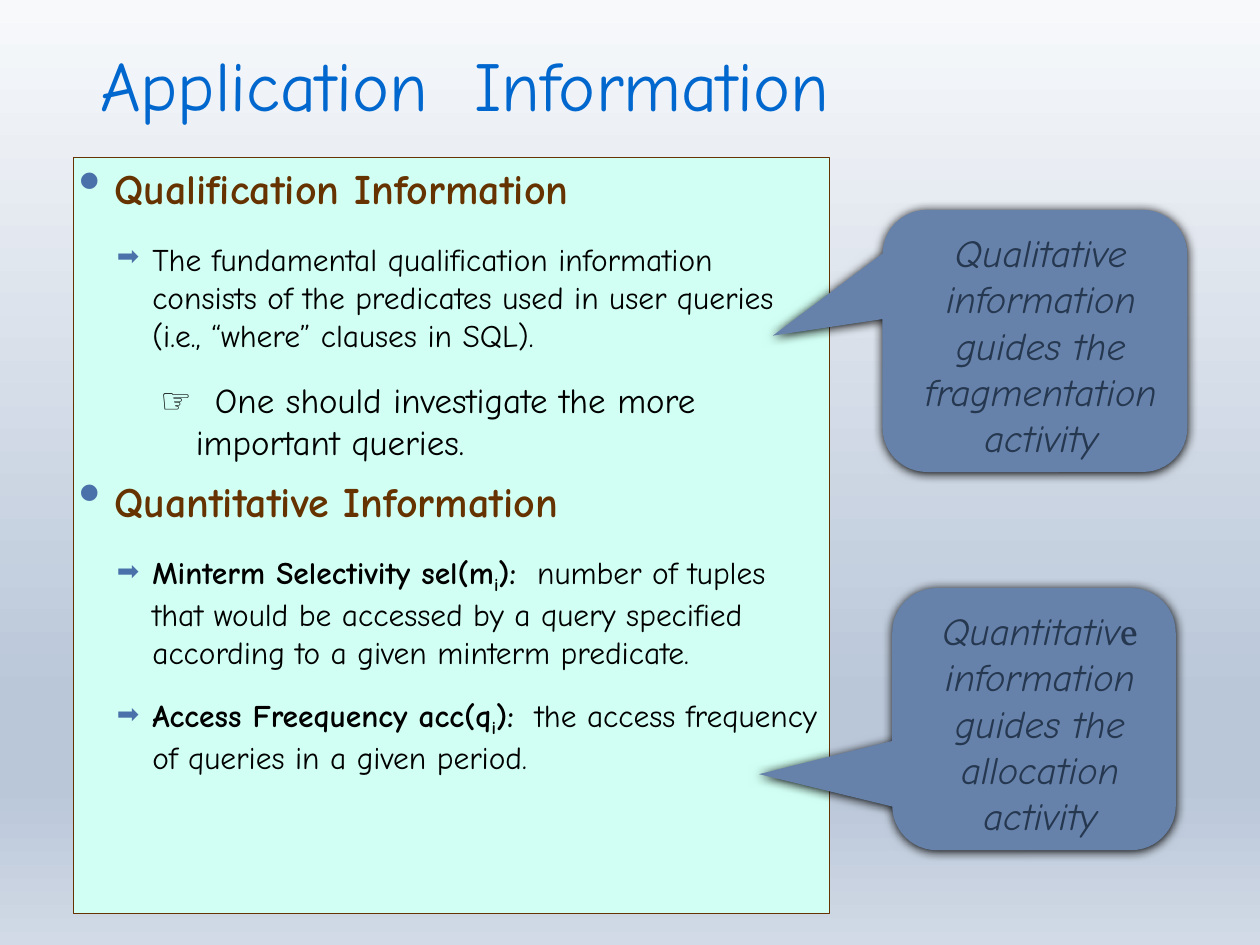
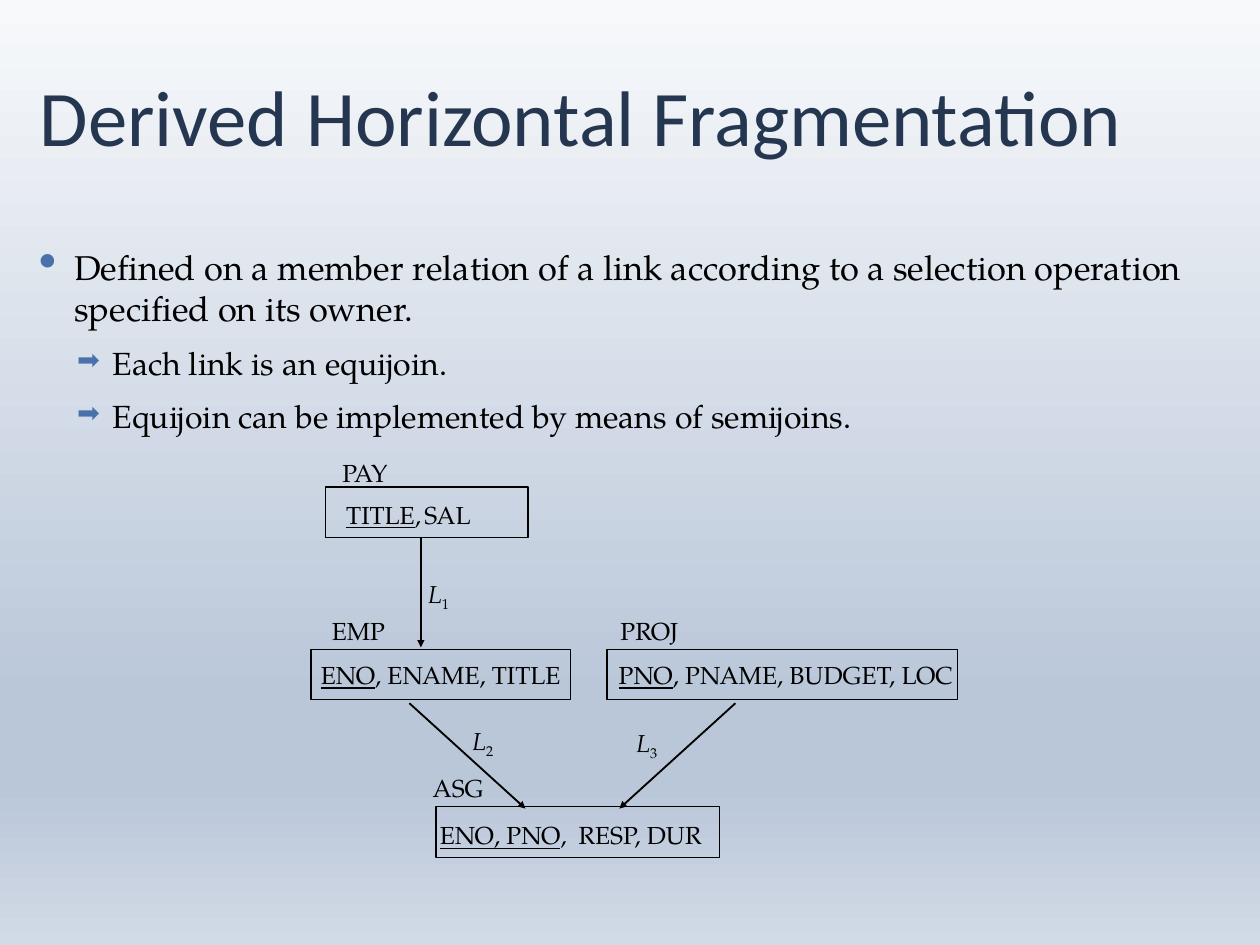
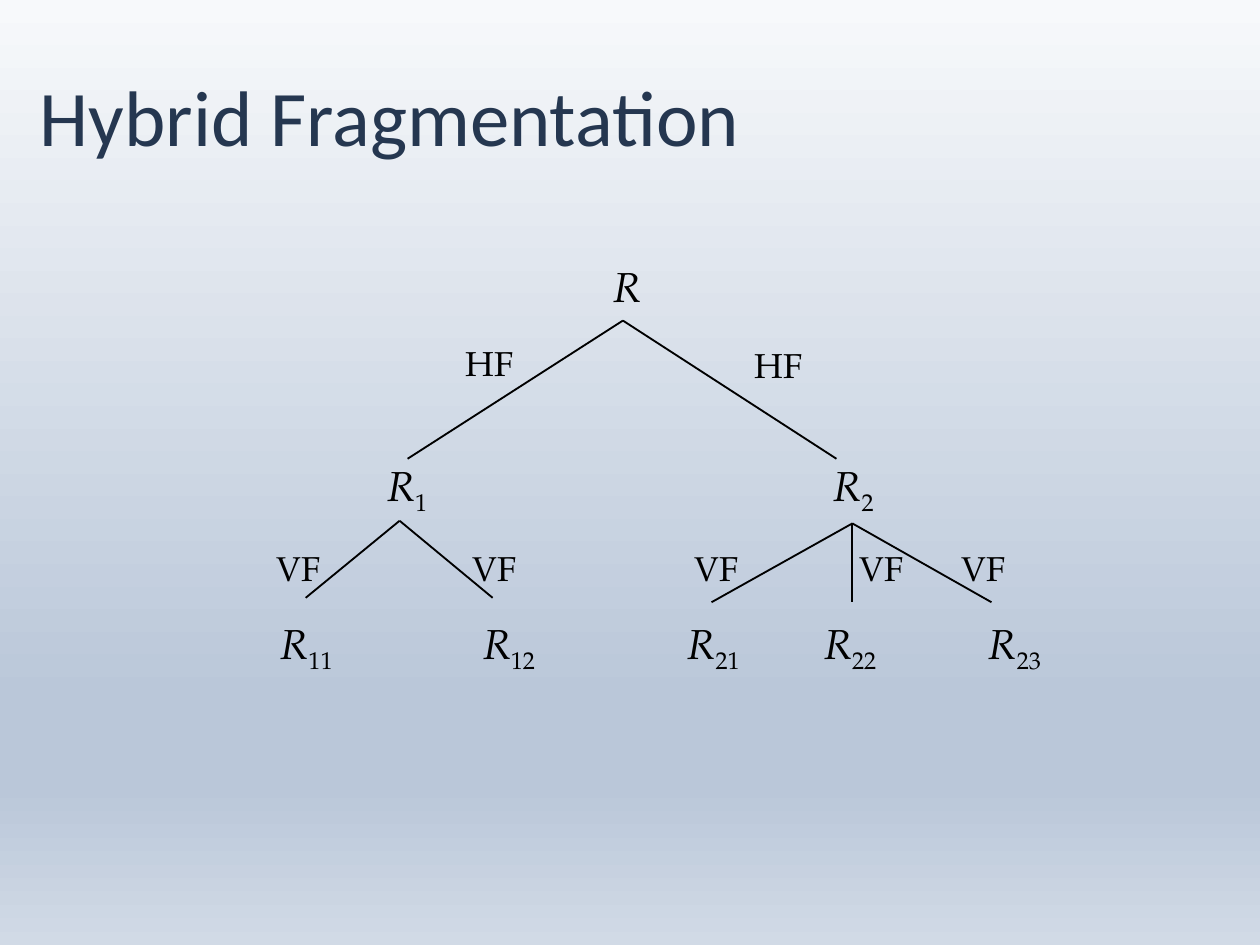
from dataclasses import dataclass
from typing import NamedTuple, Optional

from lxml.etree import SubElement
from pptx import Presentation
from pptx.dml.color import RGBColor
from pptx.enum.shapes import MSO_CONNECTOR as Link, MSO_SHAPE as Kind
from pptx.enum.text import MSO_ANCHOR as Anchor, MSO_AUTO_SIZE as Fit, PP_ALIGN as Align
from pptx.oxml.ns import qn
from pptx.util import Inches, Pt

BLACK, NAVY, BLUE = "000000", "253750", "0067CE"
BROWN, MINT = "663300", "D1FFF3"
SLATE, INK, MARK = "6682AA", "263750", "4A71A9"
SKY = ((0, "F7F9FB"), (74, "BAC7D9"), (83, "BAC7D9"), (100, "D1DAE6"))
COMIC, SERIF, SANS = "Comic Neue", "TeX Gyre Pagella", "Calibri"
TIGHT = (0.06, 0.06, 0.06, 0.06)
ROOMY = (0.14, 0.07, 0.14, 0.07)
HANG = 0.4
DOT, ARROW = ("•", 150), ("➡", 85)


class Box(NamedTuple):
    left: float
    top: float
    width: float
    height: float


class Point(NamedTuple):
    x: float
    y: float


@dataclass(frozen=True)
class Bit:
    """A run; None keeps the paragraph's setting, base is a percentage."""
    text: str
    bold: Optional[bool] = None
    italic: Optional[bool] = None
    under: Optional[bool] = None
    base: int = 0
    font: Optional[str] = None


@dataclass(frozen=True)
class Para:
    bits: tuple[Bit, ...]
    size: float
    font: str = SERIF
    color: str = BLACK
    bold: Optional[bool] = None
    italic: Optional[bool] = None
    align: Align = Align.LEFT
    indent: float = 0
    mark: Optional[tuple[str, int]] = None
    before: float = 0
    after: float = 0
    lines: Optional[float] = None


@dataclass(frozen=True)
class Label:
    bits: tuple[Bit, ...]
    left: float
    top: float
    width: float


@dataclass(frozen=True)
class Callout:
    box: Box
    tip: tuple[float, float, float]
    bits: tuple[Bit, ...]


TITLE_BOX = Box(0.39, 0.49, 13.44, 1.76)


def paint(color, code: str) -> None:
    color.rgb = RGBColor.from_string(code)


def place(box: Box) -> list:
    return [Inches(side) for side in box]


def plain(text: str) -> tuple[Bit, ...]:
    return (Bit(text),)


def keyed(key: str, rest: str) -> tuple[Bit, ...]:
    """Underlined key followed by the other attributes."""
    return Bit(key, under=True), Bit(rest)


def index(name: str, sub: str) -> tuple[Bit, ...]:
    return Bit(name, italic=True), Bit(sub, base=-25)


def term(name: str, rest: str) -> tuple[Bit, ...]:
    """Bold term with subscript i, then its definition."""
    return (Bit(name, bold=True), Bit("i", bold=True, base=-24),
            Bit("):", bold=True), Bit(rest))


def add_mark(props, mark: tuple[str, int]) -> None:
    char, size = mark
    SubElement(SubElement(props, qn("a:buClr")), qn("a:srgbClr"), val=MARK)
    SubElement(props, qn("a:buSzPct"), val=str(size * 1000))
    SubElement(props, qn("a:buChar"), char=char)


def write(frame, paras: list[Para], inset: tuple = TIGHT, wrap: bool = True) -> None:
    frame.auto_size = Fit.NONE if wrap else Fit.SHAPE_TO_FIT_TEXT
    frame.word_wrap = wrap
    (frame.margin_left, frame.margin_top,
     frame.margin_right, frame.margin_bottom) = map(Inches, inset)
    for i, para in enumerate(paras):
        line = frame.add_paragraph() if i else frame.paragraphs[0]
        line.alignment = para.align
        line.space_before, line.space_after = Pt(para.before), Pt(para.after)
        if para.lines:
            line.line_spacing = para.lines
        if para.indent:
            props = line._p.get_or_add_pPr()
            props.set("marL", str(Inches(para.indent)))
            props.set("indent", str(-Inches(HANG)))
            if para.mark:
                add_mark(props, para.mark)
        font = line.font
        font.name, font.size = para.font, Pt(para.size)
        font.bold, font.italic = para.bold, para.italic
        paint(font.color, para.color)
        for bit in para.bits:
            run = line.add_run()
            run.text = bit.text
            style = run.font
            style.bold, style.italic = bit.bold, bit.italic
            style.underline, style.name = bit.under, bit.font
            if bit.base:
                run._r.get_or_add_rPr().set("baseline", str(bit.base * 1000))


def add_page(deck, text: str, box: Box = TITLE_BOX, size: float = 64,
             font: str = SANS, color: str = NAVY):
    page = deck.slides.add_slide(deck.slide_layouts[5])
    head = page.shapes.title
    head.left, head.top, head.width, head.height = place(box)
    write(head.text_frame, [Para(plain(text), size, font, color, lines=0.9)])
    head.text_frame.vertical_anchor = Anchor.MIDDLE
    return page


def add_panel(page, kind: Kind, box: Box, fill: Optional[str] = None,
              edge: Optional[str] = None, width: float = 1):
    shape = page.shapes.add_shape(kind, *place(box))
    shape.shadow.inherit = False
    if fill:
        shape.fill.solid()
        paint(shape.fill.fore_color, fill)
    else:
        shape.fill.background()
    if edge:
        paint(shape.line.color, edge)
        shape.line.width = Pt(width)
    else:
        shape.line.fill.background()
    shape.text_frame.vertical_anchor = Anchor.TOP
    return shape


def add_callout(page, note: Callout) -> None:
    shape = add_panel(page, Kind.ROUNDED_RECTANGULAR_CALLOUT, note.box, SLATE)
    for i, value in enumerate(note.tip):
        shape.adjustments[i] = value
    glow = SubElement(shape.element.spPr.find(qn("a:effectLst")), qn("a:outerShdw"),
                      blurRad=str(Pt(8.5)), dist=str(Pt(1)), dir="5400000",
                      algn="ctr", rotWithShape="0")
    SubElement(glow, qn("a:srgbClr"), val=BLACK)
    write(shape.text_frame, [Para(note.bits, 31.3, COMIC, INK, italic=True,
                                  align=Align.CENTER)], (0.14, 0.07, 0, 0.07))


def add_label(page, label: Label, size: float) -> None:
    box = Box(label.left, label.top, label.width, size / 60 + 0.14)
    text = page.shapes.add_textbox(*place(box))
    write(text.text_frame, [Para(label.bits, size, align=Align.CENTER)], ROOMY, False)


def add_line(page, start: Point, end: Point, arrow: bool = False) -> None:
    line = page.shapes.add_connector(Link.STRAIGHT, *map(Inches, (*start, *end)))
    paint(line.line.color, BLACK)
    line.line.width = Pt(1.5)
    if arrow:
        SubElement(line.line._get_or_add_ln(), qn("a:tailEnd"), type="triangle")
    SubElement(line.element.spPr, qn("a:effectLst"))


def set_sky(master) -> None:
    fill = master.background.fill
    fill.gradient()
    fill.gradient_angle = 270
    stops = master.element.find(".//" + qn("a:gsLst"))
    for stop in list(stops):
        stops.remove(stop)
    for spot, code in SKY:
        stop = SubElement(stops, qn("a:gs"), pos=str(spot * 1000))
        SubElement(stop, qn("a:srgbClr"), val=code)


def info_page(deck) -> None:
    page = add_page(deck, "Application  Information", Box(1.07, 0.47, 12.09, 1.07),
                    56.9, COMIC, BLUE)
    panel = add_panel(page, Kind.RECTANGLE, Box(0.83, 1.78, 8.53, 8.53),
                      MINT, BROWN, 0.75)

    def topic(text: str, before: float = 0, lines: Optional[float] = None) -> Para:
        return Para(plain(text), 34.1, COMIC, BROWN, True, indent=HANG, mark=DOT,
                    before=before, after=10, lines=lines)

    def point(bits: tuple[Bit, ...], after: float = 8) -> Para:
        return Para(bits, 25.6, COMIC, indent=0.83, mark=ARROW, before=12, after=after)

    write(panel.text_frame, [
        topic("Qualification Information"),
        point(plain("The fundamental qualification information consists of the "
                    "predicates used in user queries (i.e., “where” clauses in SQL).")),
        Para(plain("☞  One should investigate the more important queries."),
             28.4, COMIC, indent=1.32, before=12),
        topic("Quantitative Information", 19, 0.8),
        point(term("Minterm Selectivity sel(m",
                   "  number of tuples that would be accessed by a query specified "
                   "according to a given minterm predicate.")),
        point(term("Access Freequency acc(q",
                   "  the access frequency of queries in a given period."), 0),
    ])
    notes = (
        Callout(Box(9.96, 2.37, 3.44, 2.96), (-0.86, -0.02, 0.17),
                plain("Qualitative information guides the fragmentation activity")),
        Callout(Box(10.07, 6.64, 3.2, 2.96), (-0.97, 0.21, 0.17),
                (Bit("Quantitativ"), Bit("e", italic=False, font="Vollkorn"),
                 Bit(" information guides the allocation activity"))),
    )
    for note in notes:
        add_callout(page, note)


def derived_page(deck) -> None:
    page = add_page(deck, "Derived Horizontal Fragmentation")
    body = page.shapes.add_textbox(*place(Box(0.38, 2.72, 13.44, 2.3)))
    links = ("Each link is an equijoin.",
             "Equijoin can be implemented by means of semijoins.")
    write(body.text_frame, [
        Para(plain("Defined on a member relation of a link according to a selection "
                   "operation specified on its owner."), 28, indent=HANG, mark=DOT),
        *(Para(plain(text), 26, indent=0.83, mark=ARROW, before=12) for text in links),
    ])
    for left, top, width in ((3.67, 5.5, 2.29), (3.51, 7.33, 2.93),
                             (4.92, 9.11, 3.2), (6.85, 7.33, 3.96)):
        add_panel(page, Kind.RECTANGLE, Box(left, top, width, 0.57), edge=BLACK)
    labels = (
        Label(keyed("TITLE", ","), 3.76, 5.57, 1.14),
        Label(plain("SAL"), 4.64, 5.57, 0.82),
        Label(plain("PAY"), 3.69, 5.1, 0.86),
        Label(keyed("ENO", ", ENAME, TITLE"), 3.46, 7.38, 3.03),
        Label(keyed("PNO", ", PNAME, BUDGET, LOC"), 6.81, 7.38, 4.12),
        Label(keyed("ENO, PNO", ","), 4.81, 9.19, 1.74),
        Label(plain("RESP, DUR"), 6.38, 9.19, 1.69),
        Label(plain("EMP"), 3.6, 6.88, 0.89),
        Label(plain("PROJ"), 6.85, 6.88, 0.96),
        Label(plain("ASG"), 4.74, 8.66, 0.86),
        Label(index("L", "1"), 4.67, 6.47, 0.56),
        Label(index("L", "2"), 5.17, 8.13, 0.56),
        Label(index("L", "3"), 7.02, 8.15, 0.56),
    )
    for label in labels:
        add_label(page, label, 20)
    for start, end in ((Point(4.75, 6.07), Point(4.75, 7.31)),
                       (Point(4.62, 7.94), Point(5.93, 9.13)),
                       (Point(8.3, 7.94), Point(6.99, 9.13))):
        add_line(page, start, end, arrow=True)


def hybrid_page(deck) -> None:
    page = add_page(deck, "Hybrid Fragmentation")
    nodes = [Label((Bit("R", italic=True),), 6.73, 2.87, 0.7)]
    nodes += [Label(index("R", sub), left, 5.12, 0.81)
              for sub, left in (("1", 4.19), ("2", 9.23))]
    nodes += [Label(index("R", sub), left, 6.9, width)
              for sub, left, width in (("11", 2.99, 0.94), ("12", 5.25, 0.99),
                                       ("21", 7.56, 0.99), ("22", 9.1, 0.99),
                                       ("23", 10.96, 0.99))]
    for node in nodes:
        add_label(page, node, 34)
    cuts = [Label(plain("HF"), left, top, 0.83)
            for left, top in ((5.11, 3.79), (8.37, 3.82))]
    cuts += [Label(plain("VF"), left, 6.11, 0.79)
             for left in (2.97, 5.19, 7.69, 9.55, 10.71)]
    for cut in cuts:
        add_label(page, cut, 28)
    fans = ((Point(7.03, 3.62), 5.18, (4.6, 9.44)),
            (Point(4.51, 5.88), 6.75, (3.45, 5.56)),
            (Point(9.62, 5.91), 6.8, (8.03, 9.62, 11.19)))
    for top, base, ends in fans:
        for x in ends:
            add_line(page, top, Point(x, base))


def main() -> None:
    deck = Presentation()
    deck.slide_width, deck.slide_height = Inches(14.22), Inches(10.67)
    set_sky(deck.slide_master)
    info_page(deck)
    derived_page(deck)
    hybrid_page(deck)
    deck.save("out.pptx")


if __name__ == "__main__":
    main()
